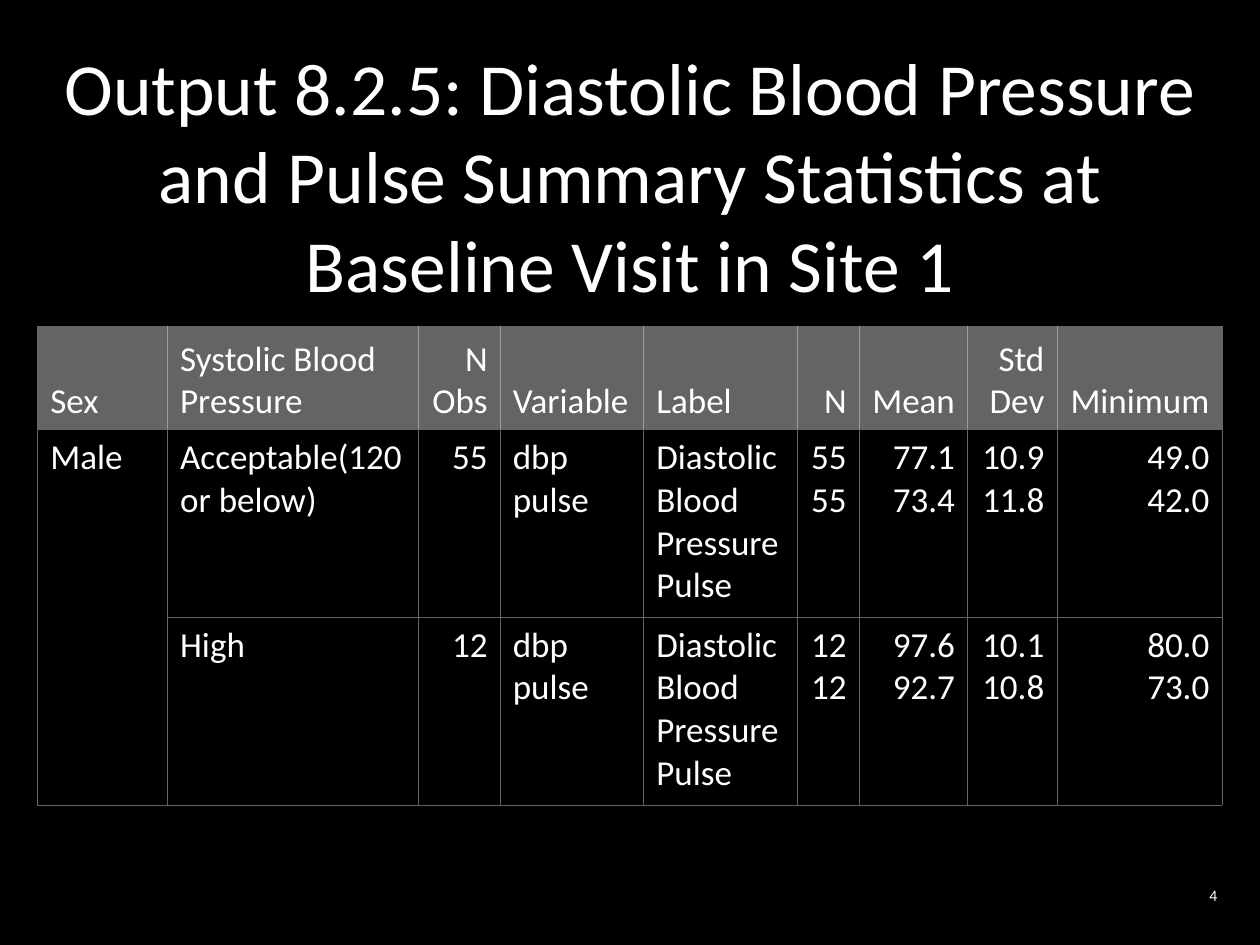
from dataclasses import dataclass

from lxml.etree import SubElement
from pptx import Presentation
from pptx.dml.color import RGBColor
from pptx.enum.text import MSO_ANCHOR as Anchor, PP_ALIGN as Align
from pptx.oxml.ns import qn
from pptx.util import Inches, Pt


@dataclass(frozen=True)
class Theme:
    font: str = "Calibri"
    title_size: int = 42
    table_size: int = 20
    number_size: int = 9
    background: str = "000000"
    text: str = "FFFFFF"
    header: str = "646464"
    rule: str = "646464"
    header_rule: str = "9B9B9B"
    rule_width: float = 0.5


THEME = Theme()
TITLE = ("Output 8.2.5: Diastolic Blood Pressure and Pulse Summary "
         "Statistics at Baseline Visit in Site 1")
PAGE_NUMBER = "4"
LABELS = ["Diastolic Blood Pressure", "Pulse"]
VARIABLES = ["dbp", "pulse"]

# heading, width, alignment
COLUMNS = [
    ("Sex", 1.03, Align.LEFT),
    ("Systolic Blood Pressure", 1.99, Align.LEFT),
    ("N Obs", 0.65, Align.RIGHT),
    ("Variable", 1.14, Align.LEFT),
    ("Label", 1.22, Align.LEFT),
    ("N", 0.49, Align.RIGHT),
    ("Mean", 0.86, Align.RIGHT),
    ("Std Dev", 0.71, Align.RIGHT),
    ("Minimum", 1.31, Align.RIGHT),
]
# each cell is a list of lines
ROWS = [
    [["Male"], ["Acceptable(120 or below)"], ["55"], VARIABLES, LABELS,
     ["55", "55"], ["77.1", "73.4"], ["10.9", "11.8"], ["49.0", "42.0"]],
    [[], ["High"], ["12"], VARIABLES, LABELS,
     ["12", "12"], ["97.6", "92.7"], ["10.1", "10.8"], ["80.0", "73.0"]],
]
HEADER_HEIGHT, ROW_HEIGHT = 0.82, 1.49


def write(frame, lines, size, align):
    para = frame.paragraphs[0]
    para.alignment = align
    for index, line in enumerate(lines):
        if index:
            para.add_line_break()
        span = para.add_run()
        span.text = line
        span.font.name = THEME.font
        span.font.size = Pt(size)
        span.font.bold = False
        span.font.color.rgb = RGBColor.from_string(THEME.text)


def set_borders(cell, colors):
    """Draw the left, right, top and bottom rules, in that order."""
    properties = cell._tc.get_or_add_tcPr()
    for side, color in zip("LRTB", colors):
        line = SubElement(properties, qn(f"a:ln{side}"), w=str(Pt(THEME.rule_width)))
        fill = SubElement(line, qn("a:solidFill"))
        SubElement(fill, qn("a:srgbClr"), val=color)


def set_fill(fill, color):
    fill.solid()
    fill.fore_color.rgb = RGBColor.from_string(color)


def add_title(page):
    title = page.shapes.title
    title.left, title.top = Inches(0.25), Inches(0.25)
    title.width, title.height = Inches(9.5), Inches(2.27)
    title.text_frame.word_wrap = True
    title.text_frame.vertical_anchor = Anchor.MIDDLE
    write(title.text_frame, [TITLE], THEME.title_size, Align.CENTER)


def add_statistics(page):
    grid = [[[heading] for heading, _, _ in COLUMNS]] + ROWS
    heights = [HEADER_HEIGHT] + [ROW_HEIGHT] * len(ROWS)
    width = sum(column[1] for column in COLUMNS)
    table = page.shapes.add_table(
        len(grid), len(COLUMNS), Inches(0.3), Inches(2.59),
        Inches(width), Inches(sum(heights))).table
    table.first_row = table.horz_banding = False
    for column, (_, column_width, _) in zip(table.columns, COLUMNS):
        column.width = Inches(column_width)
    last = len(COLUMNS) - 1
    for r, (cells, height) in enumerate(zip(grid, heights)):
        table.rows[r].height = Inches(height)
        is_header = r == 0
        for c, lines in enumerate(cells):
            cell = table.cell(r, c)
            inner = THEME.header_rule if is_header else THEME.rule
            set_borders(cell, [inner if c else THEME.rule,
                               inner if c < last else THEME.rule,
                               THEME.rule, inner])
            set_fill(cell.fill, THEME.header if is_header else THEME.background)
            cell.vertical_anchor = Anchor.BOTTOM if is_header else Anchor.TOP
            write(cell.text_frame, lines, THEME.table_size, COLUMNS[c][2])
    table.cell(1, 0).merge(table.cell(len(ROWS), 0))


def add_page_number(page):
    box = page.shapes.add_textbox(Inches(7.38), Inches(6.96), Inches(2.38), Inches(0.29))
    box.text_frame.word_wrap = True
    box.text_frame.vertical_anchor = Anchor.MIDDLE
    write(box.text_frame, [PAGE_NUMBER], THEME.number_size, Align.RIGHT)


def main():
    deck = Presentation()
    deck.slide_width, deck.slide_height = Inches(10), Inches(7.5)
    page = deck.slides.add_slide(deck.slide_layouts.get_by_name("Title Only"))
    set_fill(page.background.fill, THEME.background)
    add_title(page)
    add_statistics(page)
    add_page_number(page)
    deck.save("out.pptx")


if __name__ == "__main__":
    main()
